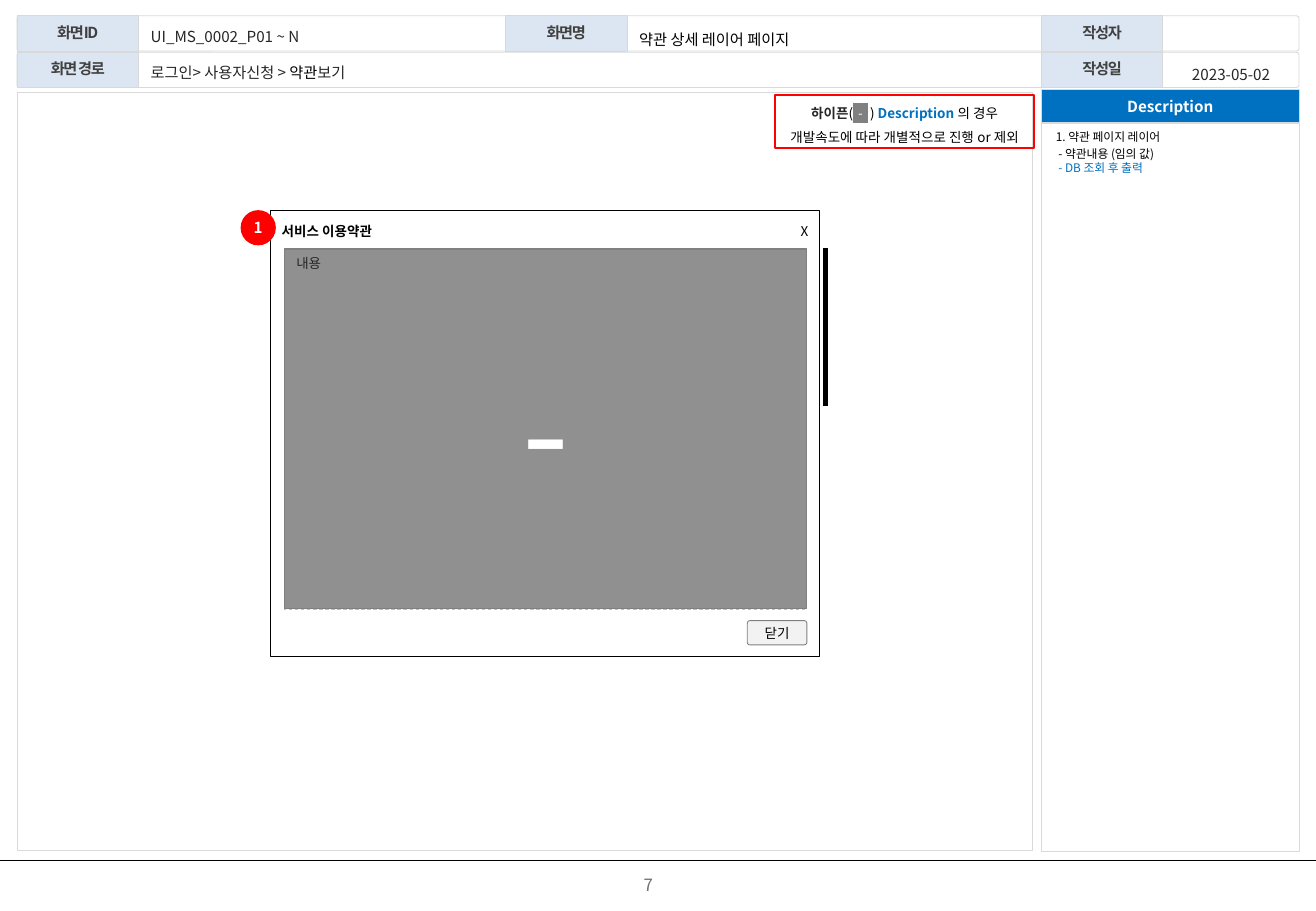
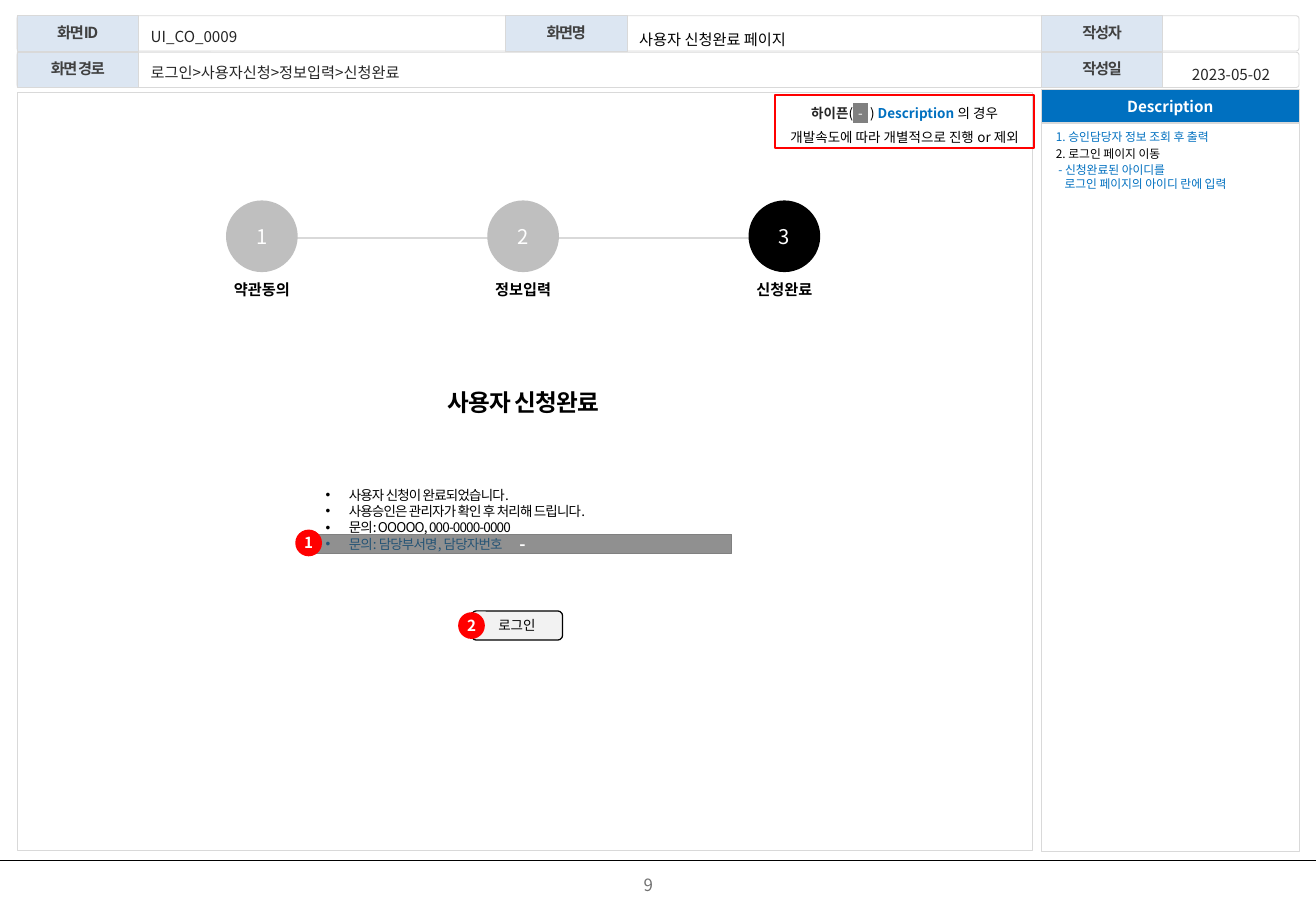
import copy

import pptx
import pptx.dml.color
import pptx.enum.dml
import pptx.enum.shapes
import pptx.enum.text
import pptx.oxml
import pptx.oxml.ns
import pptx.util

PX = 9144  # EMU per px, 100 px to the inch
FONT = "Noto Sans CJK KR"
COLORS = {
    "black": "000000", "white": "FFFFFF", "ink": "262626", "label": "404040",
    "page": "717171", "gray": "808080", "idle": "BFBFBF", "border": "D9D9D9",
    "button": "F2F2F2", "pale": "DCE6F2", "blue": "0070C0", "red": "FF0000",
}
SHAPE = pptx.enum.shapes.MSO_SHAPE
ALIGN = pptx.enum.text.PP_ALIGN
ANCHOR = pptx.enum.text.MSO_ANCHOR
qn = pptx.oxml.ns.qn


def rgb(name):
    return pptx.dml.color.RGBColor.from_string(COLORS[name])


def draw(slide, kind, box, fill=None, line=None, width=0.5, adjust=None, alpha=None):
    """Add a "text" box, a "line" (x1, y1, x2, y2) or a preset shape."""
    box = [value * PX for value in box]
    if kind == "text":
        return slide.shapes.add_textbox(*box)
    if kind == "line":
        shape = slide.shapes.add_connector(pptx.enum.shapes.MSO_CONNECTOR.STRAIGHT, *box)
        pptx.oxml.ns  # connector effects are cleared below
        shape.line.color.rgb = rgb(line)
        shape.line.width = pptx.util.Pt(width)
        shape._element.spPr.append(pptx.oxml.parse_xml(
            '<a:effectLst xmlns:a="%s"/>' % pptx.oxml.ns.nsuri("a:effectLst")
            if hasattr(pptx.oxml.ns, "nsuri_unused") else
            '<a:effectLst xmlns:a="http://schemas.openxmlformats.org/drawingml/2006/main"/>'))
        return shape
    shape = slide.shapes.add_shape(kind, *box)
    shape.shadow.inherit = False
    if adjust is not None:
        shape.adjustments[0] = adjust
    if fill:
        shape.fill.solid()
        shape.fill.fore_color.rgb = rgb(fill)
    else:
        shape.fill.background()
    if alpha:
        color = shape._element.spPr.find(qn("a:solidFill"))[0]
        color.append(color.makeelement(qn("a:alpha"), {"val": str(alpha * 1000)}))
    if line:
        shape.line.color.rgb = rgb(line)
        shape.line.width = pptx.util.Pt(width)
    else:
        shape.line.fill.background()
    return shape


def write(shape, *paragraphs, size=9, color="black", bold=False, font=FONT, spacing=0,
          align=ALIGN.LEFT, anchor=ANCHOR.TOP, insets=(10, 5, 10, 5), wrap=True,
          line_spacing=1.0, before=0, indents=(), bullet=None):
    """Each paragraph is a string or a list of strings, (string, format) pairs and "\\n" breaks."""
    frame = shape.text_frame
    frame.auto_size = pptx.enum.text.MSO_AUTO_SIZE.NONE
    frame.word_wrap = wrap
    frame.vertical_anchor = anchor
    frame.margin_left, frame.margin_top, frame.margin_right, frame.margin_bottom = (
        value * PX for value in insets)
    for index, runs in enumerate(paragraphs):
        paragraph = frame.add_paragraph() if index else frame.paragraphs[0]
        paragraph.alignment = align
        paragraph.line_spacing = line_spacing
        paragraph.space_before = pptx.util.Pt(before if index else 0)
        properties = paragraph._p.get_or_add_pPr()
        margin, indent = indents[index] if indents else (0, 0)
        properties.set("marL", str(margin * PX))
        properties.set("indent", str(indent * PX))
        if bullet:
            properties.append(properties.makeelement(qn("a:buChar"), {"char": bullet}))
        else:
            properties.append(properties.makeelement(qn("a:buNone"), {}))
        for item in [runs] if isinstance(runs, str) else runs:
            if item == "\n":
                paragraph.add_line_break()
                paragraph._p[-1].append(copy.deepcopy(run._r.rPr))
                continue
            text, extra = (item, {}) if isinstance(item, str) else item
            run = paragraph.add_run()
            run.text = text
            run.font.size = pptx.util.Pt(size)
            run.font.bold = extra.get("bold", bold)
            run.font.color.rgb = rgb(extra.get("color", color))
            run.font.name = font
            run_properties = run._r.rPr
            run_properties.set("spc", str(round(extra.get("spacing", spacing) * 100)))
            latin = run_properties.find(qn("a:latin"))
            latin.addnext(latin.makeelement(qn("a:ea"), {"typeface": FONT}))
            if "highlight" in extra:
                highlight = latin.makeelement(qn("a:highlight"), {})
                highlight.append(latin.makeelement(
                    qn("a:srgbClr"), {"val": COLORS[extra["highlight"]]}))
                latin.addprevious(highlight)


CENTERED = {"align": ALIGN.CENTER, "anchor": ANCHOR.MIDDLE}
TIGHT = {**CENTERED, "insets": (0, 0, 0, 0)}
FIELD = {"align": ALIGN.JUSTIFY, "anchor": ANCHOR.MIDDLE, "insets": (8, 0, 0, 0),
         "line_spacing": 1.5}
BLUE = {"color": "blue"}

LABELS = [("화면ID", 14, 13), ("화면명", 416, 13), ("작성자", 857, 13),
          ("화면 경로", 14, 43), ("작성일", 857, 43)]
SCREENS = [
    {"layout": 1, "page": "7", "id": "UI_MS_0002_P01 ~ N", "name": "약관 상세 레이어 페이지",
     "route": ["로그인> 사용자신청 > ", ("약관", {"color": "black"}), "보기"],
     "description": ["1. 약관 페이지 레이어",
                     ["- 약관내용 (임의 값)", "\n", ("- DB 조회 후 출력", BLUE)]],
     "indents": [(0, 0), (2, 0)],
     "badges": [("1", 198, 173, 29)]},
    {"layout": 3, "page": "9", "id": "UI_CO_0009", "name": "사용자 신청완료 페이지",
     "route": "로그인>사용자신청>정보입력>신청완료",
     "description": [[("1. 승인담당자 정보 조회 후 출력", BLUE)], "2. 로그인 페이지 이동",
                     [("- 신청완료된 아이디를", BLUE), "\n",
                      ("로그인 페이지의 아이디 란에 입력", BLUE)]],
     "indents": [(0, 0), (0, 0), (7, -5)],
     "badges": [("1", 243, 436, 22), ("2", 377, 504, 22)]},
]

presentation = pptx.Presentation()
presentation.slide_width = 1083 * PX
presentation.slide_height = 750 * PX

# Header, panels and footer of every screen
slides = []
for screen in SCREENS:
    slide = presentation.slides.add_slide(presentation.slide_layouts[screen["layout"]])
    slides.append(slide)
    draw(slide, "line", (0, 708, 1083, 708), line="black")
    write(draw(slide, "text", (407, 715, 253, 31)), screen["page"],
          size=10, color="page", align=ALIGN.CENTER)
    for top in (13, 43):
        draw(slide, SHAPE.ROUNDED_RECTANGLE, (14, top, 1055, 29), line="border", adjust=0.08)
    for label, left, top in LABELS:
        cell = draw(slide, SHAPE.ROUNDED_RECTANGLE, (left, top, 100, 29),
                    fill="pale", line="border", adjust=0)
        write(cell, label, color="label", bold=True, spacing=-0.8, line_spacing=0.9, **TIGHT)
    draw(slide, SHAPE.RECTANGLE, (14, 76, 836, 624), line="border")
    draw(slide, SHAPE.RECTANGLE, (857, 102, 212, 599), line="border")
    write(draw(slide, SHAPE.RECTANGLE, (857, 74, 212, 27), fill="blue", line="border"),
          "Description", color="white", bold=True, wrap=False, **CENTERED)

    title, description = slide.shapes.title, slide.placeholders[1]
    for holder, box in ((title, (518, 13, 339, 31)), (description, (859, 102, 210, 62))):
        holder.left, holder.top, holder.width, holder.height = (value * PX for value in box)
    write(title, screen["name"], **FIELD)
    write(description, *screen["description"], size=7, before=1.4, indents=screen["indents"])
    write(draw(slide, "text", (116, 11, 299, 31)), screen["id"], color="ink", **FIELD)
    write(draw(slide, "text", (116, 40, 740, 31)), screen["route"], color="ink", **FIELD)
    write(draw(slide, "text", (959, 44, 108, 27)), "2023-05-02",
          color="ink", line_spacing=1.5, **TIGHT)
    write(draw(slide, SHAPE.RECTANGLE, (638, 78, 213, 44), line="red", width=1),
          [("하이픈", {"color": "ink", "bold": True}), "(",
           (" - ", {"color": "white", "highlight": "gray", "spacing": 1.2}), ") ",
           ("Description ", {"color": "blue", "bold": True}), "의 경우", "\n",
           "개발속도에 따라 개별적으로 진행 or 제외"],
          size=8, line_spacing=1.5, wrap=False, **TIGHT)

terms, completion = slides

# Terms layer
draw(terms, SHAPE.RECTANGLE, (222, 173, 452, 367), fill="white", line="black", width=0.25)
write(draw(terms, "text", (222, 179, 254, 24)), "서비스 이용약관", size=8, bold=True)
write(draw(terms, SHAPE.RECTANGLE, (650, 178, 24, 24), fill="white"), "X", size=8, **TIGHT)
write(draw(terms, SHAPE.ROUNDED_RECTANGLE, (615, 511, 49, 20),
           fill="button", line="gray", adjust=0.11), "닫기", size=8, wrap=False, **TIGHT)
content = draw(terms, SHAPE.RECTANGLE, (234, 205, 430, 297), line="idle")
content.line.dash_style = pptx.enum.dml.MSO_LINE.DASH
write(content, "내용", size=8, font="Calibri")
draw(terms, "line", (679, 204, 679, 334), line="black", width=3)
write(draw(terms, SHAPE.RECTANGLE, (234, 205, 430, 296), fill="label", line="gray",
           width=0, alpha=58), "-", size=80, color="white", wrap=False, **CENTERED)

# Completion page
draw(completion, "line", (242, 196, 625, 196), line="border", width=1.5)
for index, step in enumerate(["약관동의", "정보입력", "신청완료"]):
    left = 186 + 215 * index
    circle = draw(completion, SHAPE.OVAL, (left, 165, 59, 59),
                  fill="black" if step == "신청완료" else "idle")
    write(circle, str(index + 1), size=12, color="white", **CENTERED)
    write(draw(completion, "text", (left - 31, 226, 121, 25)), step,
          bold=True, align=ALIGN.CENTER)
write(draw(completion, "text", (176, 314, 509, 28)), "사용자 신청완료",
      size=14, bold=True, spacing=-0.5, align=ALIGN.CENTER)
notices = completion.placeholders[2]
notices.left, notices.top, notices.width, notices.height = (
    value * PX for value in (258, 396, 344, 77))
write(notices, "사용자 신청이 완료되었습니다.", "사용승인은 관리자가 확인 후 처리해 드립니다.",
      "문의: OOOOO, 000-0000-0000", [("문의: 담당부서명, 담당자번호", BLUE)],
      size=8, spacing=-0.5, indents=[(19, -19)] * 4, bullet="•")
write(draw(completion, SHAPE.RECTANGLE, (258, 440, 344, 16), fill="label", line="gray",
           width=0, alpha=58), "-", size=10, color="white", bold=True, wrap=False, **CENTERED)
write(draw(completion, SHAPE.ROUNDED_RECTANGLE, (388, 503, 75, 24),
           fill="button", line="black", width=0.75), "로그인", size=8, **TIGHT)

# Numbered markers on top
for slide, screen in zip(slides, SCREENS):
    for number, left, top, size in screen["badges"]:
        write(draw(slide, SHAPE.OVAL, (left, top, size, size), fill="red"), number,
              color="white", bold=True, **TIGHT)

presentation.save("out.pptx")
